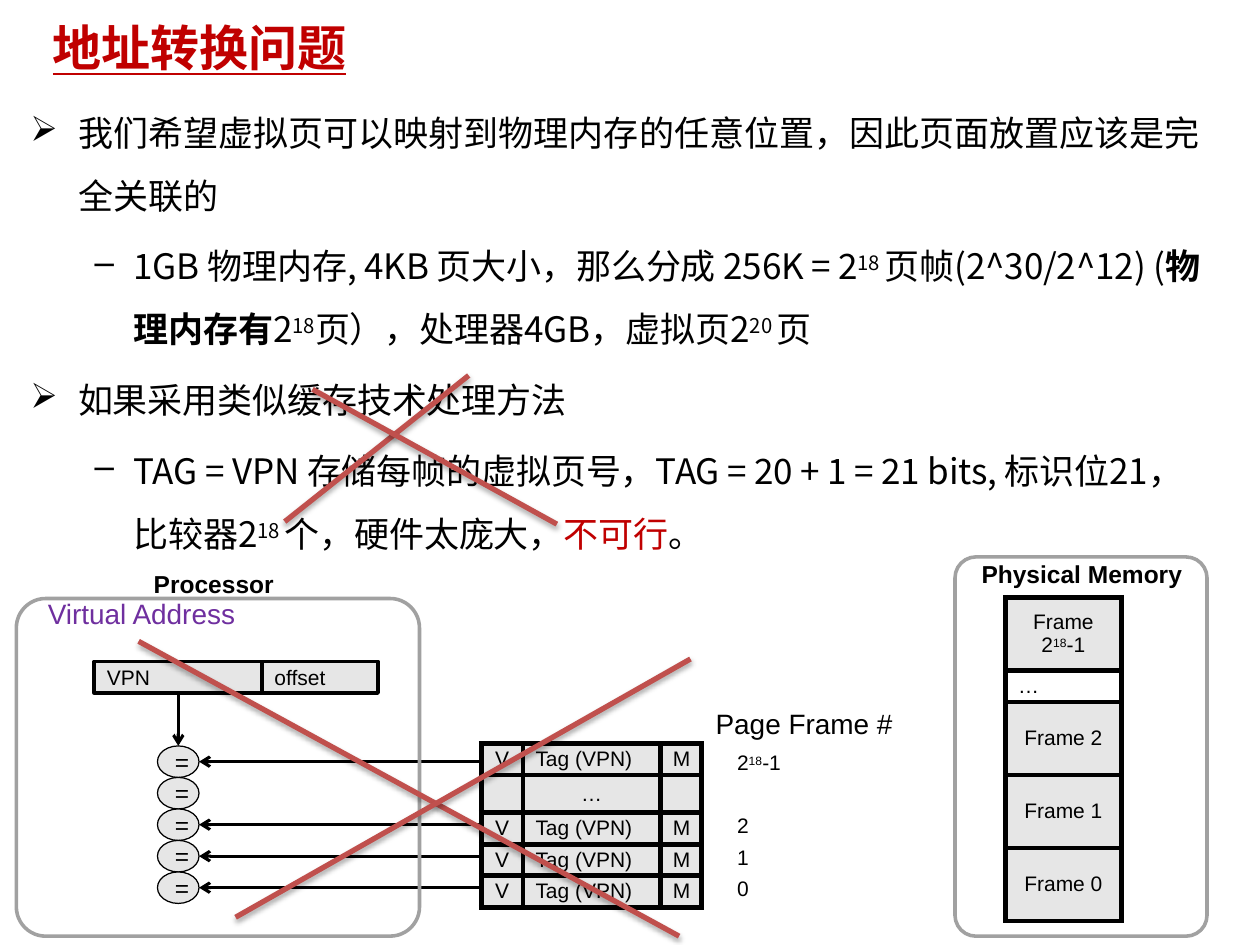
from pptx import Presentation
from pptx.dml.color import RGBColor
from pptx.enum.shapes import MSO_CONNECTOR as LINE, MSO_SHAPE as SHAPE
from pptx.enum.text import MSO_ANCHOR, PP_ALIGN
from pptx.oxml import parse_xml
from pptx.oxml.ns import nsdecls, qn
from pptx.util import Inches, Pt
from lxml.etree import SubElement

CJK, SANS = "Noto Sans CJK SC", "Arial"
BLACK, GREY, EDGE = "000000", "E6E6E6", "A1A1A1"
RED, CROSS, PURPLE = "C00000", "C0504D", "6F2F9F"
ROW = 0.25

# Body: level, space before, runs as (text, mark); marks: sup, bold, red
BODY = [
    (0, 0, [("我们希望虚拟页可以映射到物理内存的任意位置，因此页面放置应该是完全关联的", "")]),
    (1, 4.1, [("1GB 物理内存, 4KB 页大小，那么分成 256K = 2", ""), ("18 ", "sup"),
              ("页帧(2^30/2^12) (", ""), ("物理内存有", "bold"), ("2", ""), ("18", "sup"),
              ("页），处理器4GB，虚拟页2", ""), ("20 ", "sup"), ("页", "")]),
    (0, 4.5, [("如果采用类似缓存技术处理方法", "")]),
    (1, 4.5, [("TAG = VPN 存储每帧的虚拟页号，TAG = 20 + 1 = 21 bits, 标识位21，比较器2", ""),
              ("18 ", "sup"), ("个，硬件太庞大，", ""), ("不可行", "red"), ("。", "")]),
]
LEVELS = [("➢", 0.43, -0.38), ("–", 0.87, -0.31)]

TOP = [("2", ""), ("18", "sup"), ("-1", "")]
FRAMES = [[("Frame", "")], [("…", "")], [("Frame 2", "")], [("Frame 1", "")], [("Frame 0", "")]]
TAGS = [("V", "Tag (VPN)", "M"), ("", "…", "")] + [("V", "Tag (VPN)", "M")] * 3
FIELDS = [("VPN", 0.75, 1.33), ("offset", 2.08, 0.92)]
PANELS = [(7.58, 4.42, 2, 3.01, 0.083), (0.13, 4.75, 3.2, 2.68, 0.087)]
CROSSES = [(1.1, 5.09, 5.39, 7.43), (1.87, 7.28, 5.48, 5.23),
           (2.26, 4.14, 3.72, 2.98), (4.42, 4.16, 2.48, 3.09)]

deck = Presentation()
deck.slide_width, deck.slide_height = Inches(10), Inches(7.5)
slide = deck.slides.add_slide(deck.slide_layouts[6])
shapes = slide.shapes


def rgb(code):
    return RGBColor.from_string(code)


def inches(*vals):
    return [Inches(v) for v in vals]


def write(para, runs, size=12, font=SANS, color=BLACK, bold=False, spc=0):
    for text, mark in runs:
        run = para.add_run()
        run.text = text
        face = run.font
        face.size, face.name = Pt(size), font
        face.bold = bold or mark == "bold"
        face.color.rgb = rgb(RED if mark == "red" else color)
        props = face._element
        SubElement(props, qn("a:ea")).set("typeface", font)
        if mark == "sup":
            props.set("baseline", "26000")
        if spc:
            props.set("spc", str(spc))


def pad(frame, left=0, top=0):
    frame.margin_left, frame.margin_top = inches(left, top)
    frame.margin_right = frame.margin_bottom = 0


def add_text(x, y, w, h):
    frame = shapes.add_textbox(*inches(x, y, w, h)).text_frame
    frame.word_wrap = True
    pad(frame)
    return frame


def add_box(kind, x, y, w, h, fill, line, width):
    box = shapes.add_shape(kind, *inches(x, y, w, h))
    box.shadow.inherit = False
    if fill:
        box.fill.solid()
        box.fill.fore_color.rgb = rgb(fill)
    else:
        box.fill.background()
    box.line.color.rgb = rgb(line)
    box.line.width = Pt(width)
    frame = box.text_frame
    frame.vertical_anchor = MSO_ANCHOR.MIDDLE
    frame.word_wrap = False
    return box


def add_line(ends, color, width, effect="", arrow=False):
    line = shapes.add_connector(LINE.STRAIGHT, *inches(*ends))
    line.line.color.rgb = rgb(color)
    line.line.width = Pt(width)
    if arrow:
        SubElement(line.line._ln, qn("a:tailEnd")).set("type", "arrow")
    line._element.spPr.append(parse_xml(
        f'<a:effectLst {nsdecls("a")}>{effect}</a:effectLst>'))
    return line


def add_grid(x, y, cols, rows):
    table = shapes.add_table(len(rows), len(cols),
                             *inches(x, y, sum(cols), sum(rows))).table
    table.first_row = table.horz_banding = False
    for col, w in zip(table.columns, cols):
        col.width = Inches(w)
    for row, h in zip(table.rows, rows):
        row.height = Inches(h)
    return table


def fill_cell(cell, lines, fill=GREY, left=0, centre=True):
    cell.fill.solid()
    cell.fill.fore_color.rgb = rgb(fill)
    pad(cell, left)
    cell.vertical_anchor = MSO_ANCHOR.MIDDLE
    frame = cell.text_frame
    for i, runs in enumerate(lines):
        para = frame.add_paragraph() if i else frame.paragraphs[0]
        para.alignment = PP_ALIGN.CENTER if centre else PP_ALIGN.LEFT
        write(para, runs)
        if not runs[0][0]:
            SubElement(para._p, qn("a:endParaRPr")).set("sz", "1200")
    for i, side in enumerate(("lnL", "lnR", "lnT", "lnB")):
        cell._tc.get_or_add_tcPr().insert(i, parse_xml(
            f'<a:{side} {nsdecls("a")} w="38100"><a:solidFill>'
            f'<a:srgbClr val="{BLACK}"/></a:solidFill></a:{side}>'))


# Title and body
title = add_text(0.42, 0.14, 6.5, 0.49).paragraphs[0]
write(title, [("地址转换问题", "")], 28, CJK, RED, True)
title.runs[0].font.underline = True

body = add_text(0.19, 0.72, 9.42, 3.67)
for i, (level, before, runs) in enumerate(BODY):
    para = body.add_paragraph() if i else body.paragraphs[0]
    mark, left, hang = LEVELS[level]
    para.level, para.line_spacing, para.space_before = level, 1.5, Pt(before)
    props = para._p.get_or_add_pPr()
    props.set("marL", str(Inches(left)))
    props.set("indent", str(Inches(hang)))
    SubElement(props, qn("a:buChar")).set("char", mark)
    write(para, runs, 20, CJK, spc=-10 if i else 0)

# Physical memory
memory = add_grid(7.98, 4.74, [0.92], [0.58, ROW, 0.58, 0.58, 0.58])
for i, runs in enumerate(FRAMES):
    gap = runs[0][0] == "…"
    fill_cell(memory.cell(i, 0), [runs] if i else [runs, TOP],
              "FFFFFF" if gap else GREY, 0.1 if gap else 0, not gap)
write(add_text(7.79, 4.44, 1.7, 0.26).paragraphs[0],
      [("Physical Memory", "")], 14, bold=True)

# Virtual address and comparators
fields = []
for name, x, w in FIELDS:
    box = add_box(SHAPE.RECTANGLE, x, 5.25, w, ROW, GREY, BLACK, 2.28)
    pad(box.text_frame, 0.1)
    box.text_frame.paragraphs[0].alignment = PP_ALIGN.LEFT
    write(box.text_frame.paragraphs[0], [(name, "")])
    fields.append(box)

for i, (valid, *_) in enumerate(TAGS):
    y = 5.92 + i * ROW
    test = add_box(SHAPE.OVAL, 1.25, y, 0.33, ROW, GREY, BLACK, 0.72)
    pad(test.text_frame, 0.06)
    test.text_frame.paragraphs[0].alignment = PP_ALIGN.CENTER
    write(test.text_frame.paragraphs[0], [("=", "")], 14)
    if i == 0:
        drop = add_line((1.42, 5.5, 1.42, y), BLACK, 1.75, arrow=True)
        drop.begin_connect(fields[0], 2)
        drop.end_connect(test, 0)
    if valid:
        mid = y + ROW / 2
        add_line((3.83, mid, 1.58, mid), BLACK, 1.75, arrow=True)

label = add_text(0.38, 4.53, 1.97, 0.5)
head, sub = label.paragraphs[0], label.add_paragraph()
head._p.get_or_add_pPr().set("marL", str(Inches(0.84)))
head.line_spacing, sub.line_spacing = Pt(15.7), Pt(18.1)
write(head, [("Processor", "")], 14, bold=True)
write(sub, [("Virtual Address", "")], 16, color=PURPLE)

for x, y, w, h, bend in PANELS:
    panel = add_box(SHAPE.ROUNDED_RECTANGLE, x, y, w, h, None, EDGE, 2.04)
    panel.adjustments[0] = bend

# Tag table and frame numbers
tags = add_grid(3.82, 5.9, [0.33, 1.09, 0.33], [ROW] * len(TAGS))
for r, row in enumerate(TAGS):
    for c, text in enumerate(row):
        left = text in ("Tag (VPN)", "M")
        fill_cell(tags.cell(r, c), [[(text, "")]], GREY, 0.1 if left else 0, not left)

write(add_text(5.68, 5.61, 1.6, 0.28).paragraphs[0], [("Page Frame #", "")], 16)
for i, runs in enumerate([TOP, None, [("2", "")], [("1", "")], [("0", "")]]):
    if runs:
        write(add_text(5.85, 5.95 + i * ROW, 0.6, 0.2).paragraphs[0], runs)

# Crossed-out parts
SHADOW = ('<a:outerShdw blurRad="40000" dist="23000" dir="5400000" rotWithShape="0">'
          f'<a:srgbClr val="{BLACK}"><a:alpha val="35000"/></a:srgbClr></a:outerShdw>')
for ends in CROSSES:
    add_line(ends, CROSS, 3, SHADOW)

deck.save("out.pptx")
